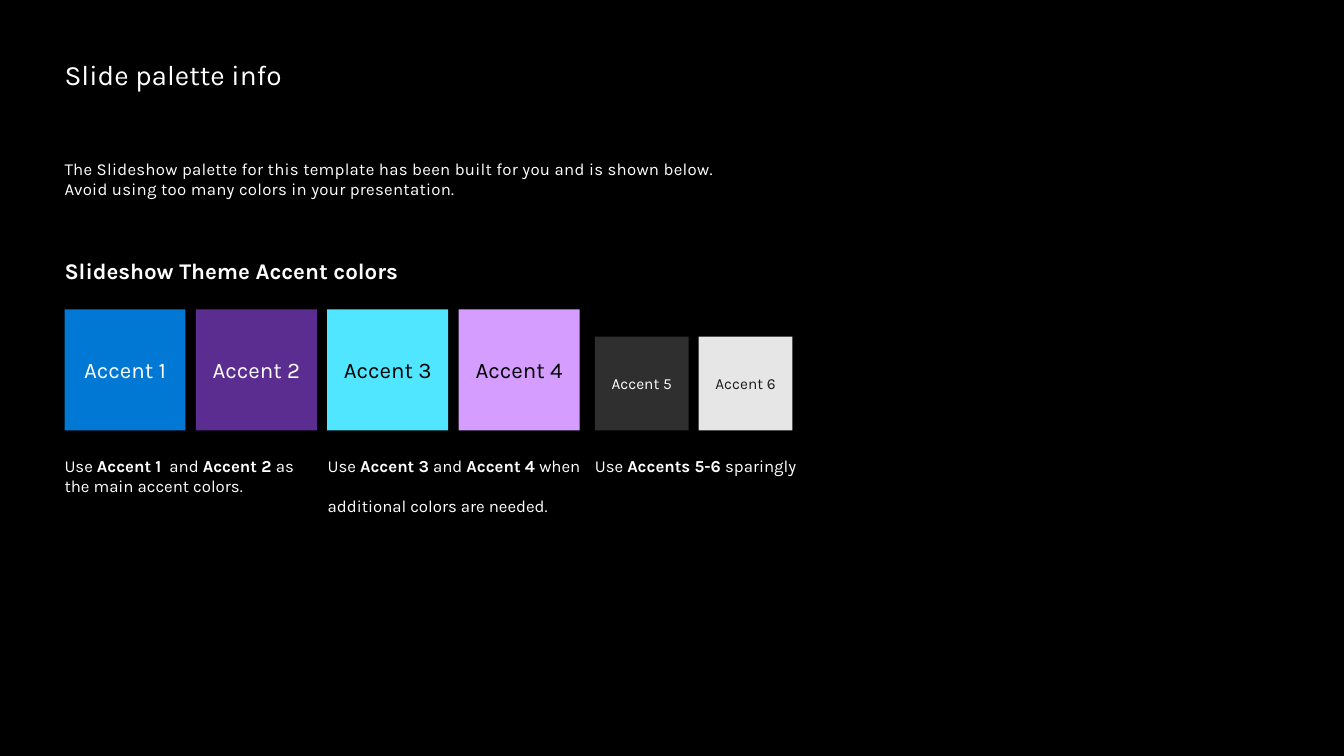
from pptx import Presentation
from pptx.dml.color import RGBColor
from pptx.enum import shapes, text
from pptx.util import Inches, Pt

BLACK = RGBColor(0x00, 0x00, 0x00)
WHITE = RGBColor(0xFF, 0xFF, 0xFF)
BLUE = RGBColor(0x00, 0x78, 0xD4)
PURPLE = RGBColor(0x5C, 0x2D, 0x91)
CYAN = RGBColor(0x50, 0xE6, 0xFF)
LILAC = RGBColor(0xD5, 0x9D, 0xFF)
CHARCOAL = RGBColor(0x2F, 0x2F, 0x2F)
SILVER = RGBColor(0xE6, 0xE6, 0xE6)
INK = RGBColor(0x1A, 0x1A, 0x1A)

LEFT = 0.64
SWATCH_BOTTOM = 4.27
CAPTION_TOP = 4.52


def set_frame(sp, top=0, bottom=0, anchor=text.MSO_ANCHOR.TOP):
    tf = sp.text_frame
    tf.word_wrap = True
    tf.margin_left = tf.margin_right = 0
    tf.margin_top, tf.margin_bottom = Inches(top), Inches(bottom)
    tf.vertical_anchor = anchor
    return tf


def set_font(p, size, color=WHITE, bold=False):
    p.font.name = "Karla"
    p.font.size = Pt(size)
    p.font.color.rgb = color
    p.font.bold = bold


prs = Presentation()
prs.slide_width, prs.slide_height = Inches(13.33), Inches(7.5)
s = prs.slides.add_slide(prs.slide_layouts[5])
s.background.fill.solid()
s.background.fill.fore_color.rgb = BLACK

title = s.shapes.title
title.left, title.top = Inches(LEFT), Inches(0.5)
title.width, title.height = Inches(6.02), Inches(0.41)
tf = set_frame(title, top=0.07)
tf.auto_size = text.MSO_AUTO_SIZE.SHAPE_TO_FIT_TEXT
tf.text = "Slide palette info"
p = tf.paragraphs[0]
p.alignment = text.PP_ALIGN.LEFT
set_font(p, 20)

intro = s.shapes.add_textbox(Inches(LEFT), Inches(1.57), Inches(10.89), Inches(0.4))
tf = set_frame(intro)
tf.text = (
    "The Slideshow palette for this template has been built for you and is shown below.\n"
    "Avoid using too many colors in your presentation."
)
for p in tf.paragraphs:
    set_font(p, 12)
    p.runs[0].font._element.set("spc", "20")

heading = s.shapes.add_textbox(Inches(LEFT), Inches(2.55), Inches(6.88), Inches(0.27))
tf = set_frame(heading)
tf.text = "Slideshow Theme Accent colors"
p = tf.paragraphs[0]
p.space_after = Pt(6)
set_font(p, 16, bold=True)

swatch_groups = [
    (LEFT, 1.2, 1.303, 16, [(BLUE, WHITE), (PURPLE, WHITE), (CYAN, BLACK), (LILAC, BLACK)]),
    (5.9, 0.93, 1.03, 11, [(CHARCOAL, WHITE), (SILVER, INK)]),
]
number = 1
for left, side, pitch, size, swatches in swatch_groups:
    for i, (fill, color) in enumerate(swatches):
        sp = s.shapes.add_shape(
            shapes.MSO_SHAPE.RECTANGLE,
            Inches(left + i * pitch), Inches(SWATCH_BOTTOM - side), Inches(side), Inches(side),
        )
        sp.shadow.inherit = False
        sp.fill.solid()
        sp.fill.fore_color.rgb = fill
        sp.line.fill.background()
        tf = set_frame(sp, 0.05, 0.05, text.MSO_ANCHOR.MIDDLE)
        tf.text = f"Accent {number}"
        p = tf.paragraphs[0]
        p.alignment = text.PP_ALIGN.CENTER
        set_font(p, size, color)
        number += 1

captions = [
    (LEFT, 2.51, 0.4, 6, ["Use ", "Accent 1", "  and ", "Accent 2 ", "as the main accent colors."]),
    (3.25, 2.51, 0.4, 6,
     ["Use ", "Accent 3", " and ", "Accent 4 ", "when \vadditional colors are needed."]),
    (5.9, 3.04, 0.2, 24, ["Use ", "Accents 5-6 ", "sparingly"]),
]
for left, width, height, before, parts in captions:
    sp = s.shapes.add_textbox(Inches(left), Inches(CAPTION_TOP), Inches(width), Inches(height))
    p = set_frame(sp).paragraphs[0]
    p.space_before = Pt(before)
    set_font(p, 12)
    for i, part in enumerate(parts):
        for j, line in enumerate(part.split("\v")):
            if j:
                p.add_line_break()
            r = p.add_run()
            r.text = line
            r.font.bold = i % 2 == 1

prs.save("out.pptx")
